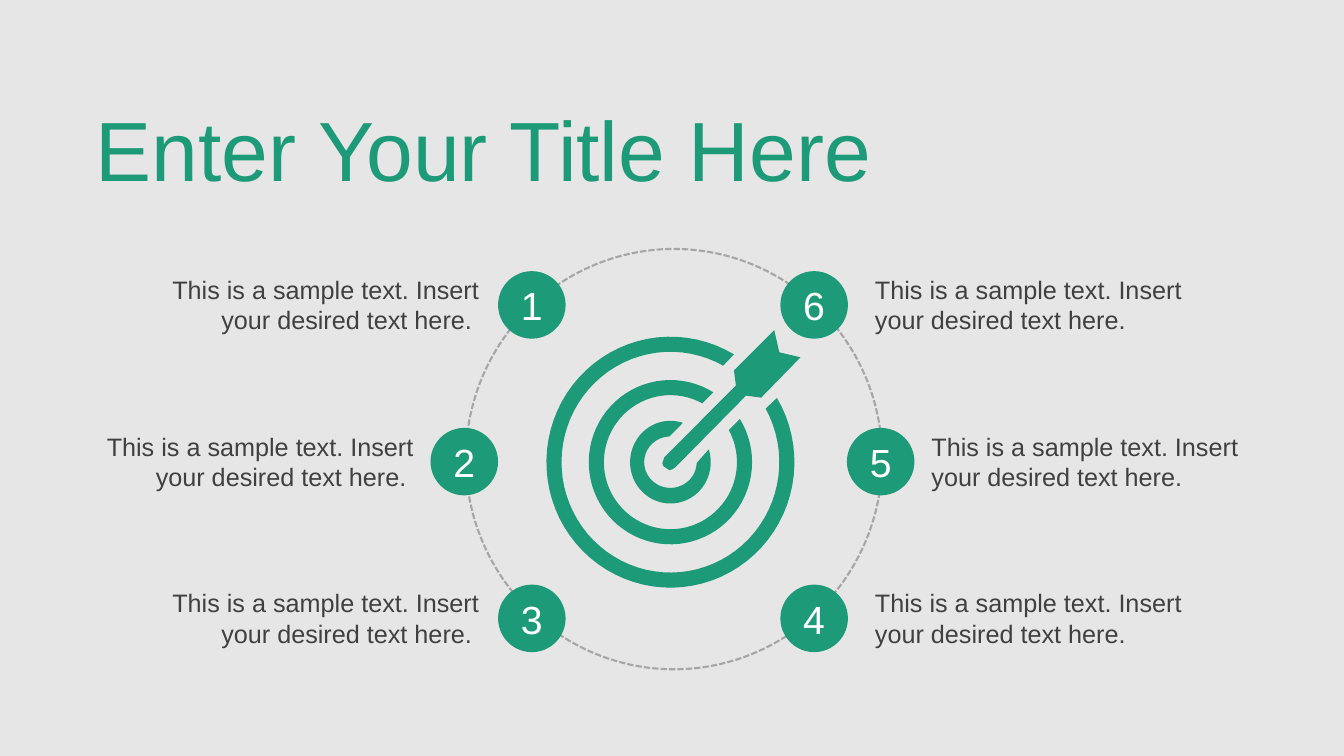
from math import cos, radians, sin

from pptx import Presentation
from pptx.dml.color import RGBColor
from pptx.enum.dml import MSO_LINE as Dash
from pptx.enum.shapes import MSO_SHAPE as Form
from pptx.enum.text import MSO_ANCHOR as Anchor, MSO_AUTO_SIZE as Fit, PP_ALIGN as Align
from pptx.util import Inches, Pt

HUES = {"back": "E7E6E6", "green": "1D9A78", "text": "404040",
        "orbit": "A6A6A6", "white": "FFFFFF"}
SAMPLE = "This is a sample text. Insert your desired text here. "
ITEMS = [("1", 0, 4.94, 1.39), ("2", 1, 4.27, 0.74), ("3", 2, 4.94, 1.39),
         ("4", 2, 7.74, 8.58), ("5", 1, 8.4, 9.14), ("6", 0, 7.74, 8.58)]
TOP, PITCH, SIZE = 2.69, 1.555, 0.67
RINGS = [((0.4, 0.41, 27), (0.26, 0.255, 47)),
         ((0.81, 0.815, 13.3), (0.66, 0.665, 16.3)),
         ((1.23, 1.245, 14.2), (1.08, 1.095, 16))]
DART = [(1.03, -1.31), (1.08, -1.09), (1.29, -1.04), (0.9, -0.64), (0.75, -0.66),
        (0.05, 0.05), (0.02, 0.07), (-0.01, 0.08), (-0.04, 0.06), (-0.07, 0.04),
        (-0.08, 0.01), (-0.07, -0.02), (-0.06, -0.05), (0.65, -0.76), (0.63, -0.91)]


def hue(name):
    """Return a named colour."""
    return RGBColor.from_string(HUES[name])


def paint(shape, name):
    """Give a shape a flat fill without line or shadow."""
    shape.shadow.inherit = False
    shape.fill.solid()
    shape.fill.fore_color.rgb = hue(name)
    shape.line.fill.background()


def write(frame, text, size, name, align=Align.LEFT):
    """Write one run into a text frame."""
    frame.word_wrap = True
    para = frame.paragraphs[0]
    para.alignment = align
    run = para.add_run()
    run.text = text
    run.font.size = Pt(size)
    run.font.name = "Arial"
    run.font.color.rgb = hue(name)


def head(slide, box):
    """Place and fill the slide title."""
    title = slide.shapes.title
    title.left, title.top, title.width, title.height = map(Inches, box)
    frame = title.text_frame
    frame.vertical_anchor = Anchor.TOP
    write(frame, "Enter Your Title Here", 60, "green")
    frame.auto_size = Fit.SHAPE_TO_FIT_TEXT


def orbit(slide, box):
    """Draw the dashed orbit."""
    ring = slide.shapes.add_shape(Form.OVAL, *map(Inches, box))
    ring.shadow.inherit = False
    ring.fill.background()
    ring.line.color.rgb = hue("orbit")
    ring.line.width = Pt(1.5)
    ring.line.dash_style = Dash.SQUARE_DOT


def bubble(slide, box, label):
    """Draw a numbered disc."""
    disc = slide.shapes.add_shape(Form.OVAL, *map(Inches, box))
    paint(disc, "green")
    disc.text_frame.vertical_anchor = Anchor.MIDDLE
    write(disc.text_frame, label, 28, "white", Align.CENTER)


def note(slide, box, align):
    """Place a sample text."""
    frame = slide.shapes.add_textbox(*map(Inches, box)).text_frame
    write(frame, SAMPLE, 18, "text", align)
    frame.auto_size = Fit.SHAPE_TO_FIT_TEXT


def arc(wide, high, gap):
    """List the points of an arc that is open towards the upper right."""
    steps = 72
    turns = [radians(45 + gap + (360 - 2 * gap) * i / steps) for i in range(steps + 1)]
    return [(wide * cos(t), -high * sin(t)) for t in turns]


def target(slide, box):
    """Draw the open rings and the dart as one outline."""
    left, top, wide, high = box
    mid_x, mid_y = left + RINGS[-1][0][0], top + high - RINGS[-1][0][1]
    loops = [arc(*outer) + arc(*inner)[::-1] for outer, inner in RINGS] + [DART]
    loops = [[(Inches(mid_x + x), Inches(mid_y + y)) for x, y in loop] for loop in loops]
    pen = slide.shapes.build_freeform(*loops[0][0])
    pen.add_line_segments(loops[0][1:])
    for loop in loops[1:]:
        pen.move_to(*loop[0])
        pen.add_line_segments(loop[1:])
    paint(pen.convert_to_shape(), "green")


def build():
    """Build and save the slide."""
    deck = Presentation()
    deck.slide_width, deck.slide_height = Inches(13.33), Inches(7.5)
    slide = deck.slides.add_slide(deck.slide_layouts[5])
    slide.background.fill.solid()
    slide.background.fill.fore_color.rgb = hue("back")
    head(slide, (0.85, 0.92, 11.63, 1.11))
    orbit(slide, (4.62, 2.47, 4.13, 4.17))
    for label, row, left, text_x in ITEMS:
        top = TOP + row * PITCH
        bubble(slide, (left, top, SIZE, SIZE), label)
        align = Align.RIGHT if text_x < left else Align.LEFT
        note(slide, (text_x, top - 0.02, 3.46, 0.71), align)
    target(slide, (5.42, 3.28, 2.52, 2.55))
    deck.save("out.pptx")


build()
